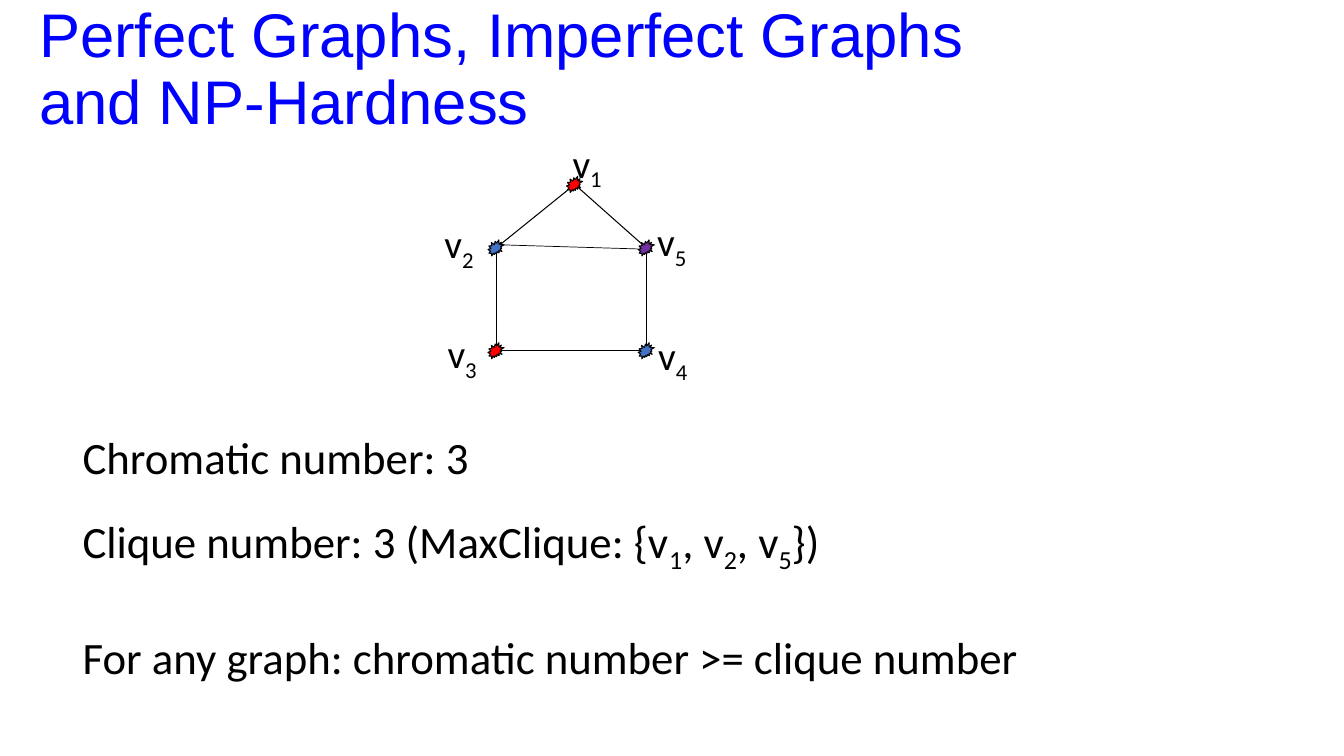
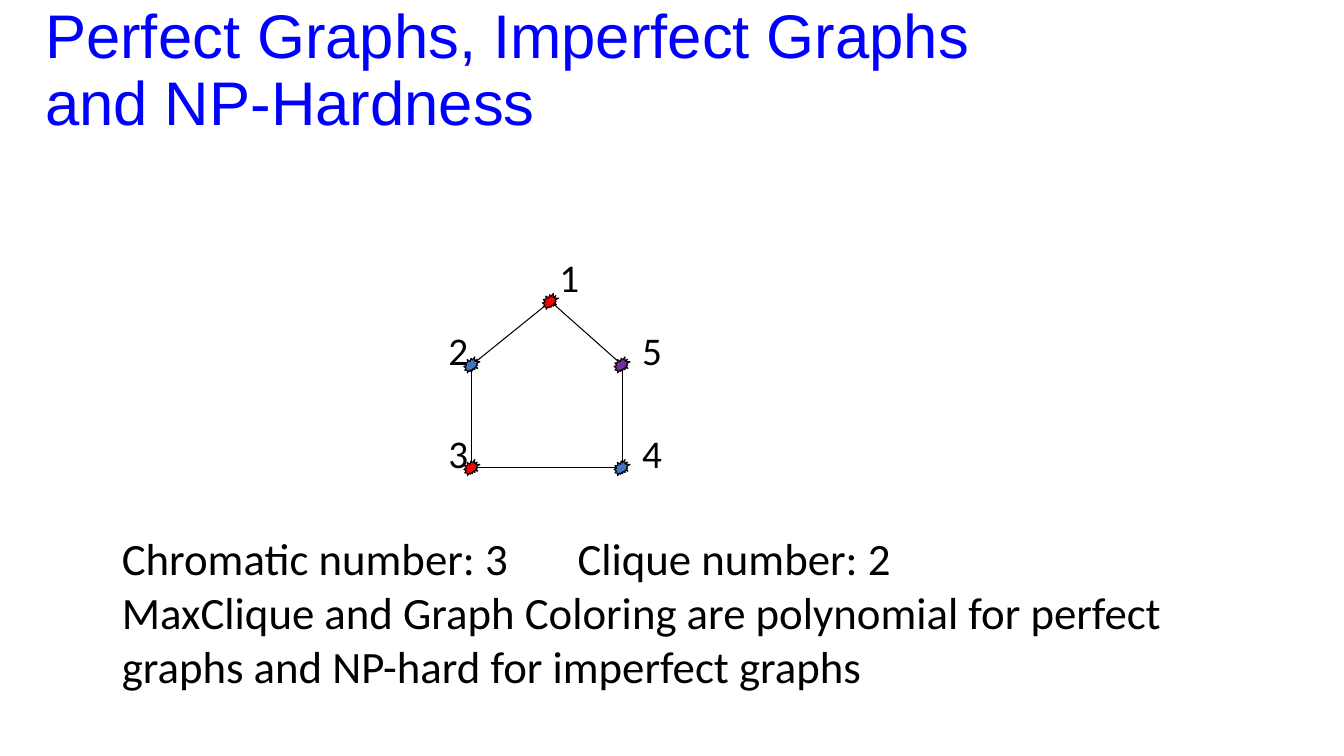
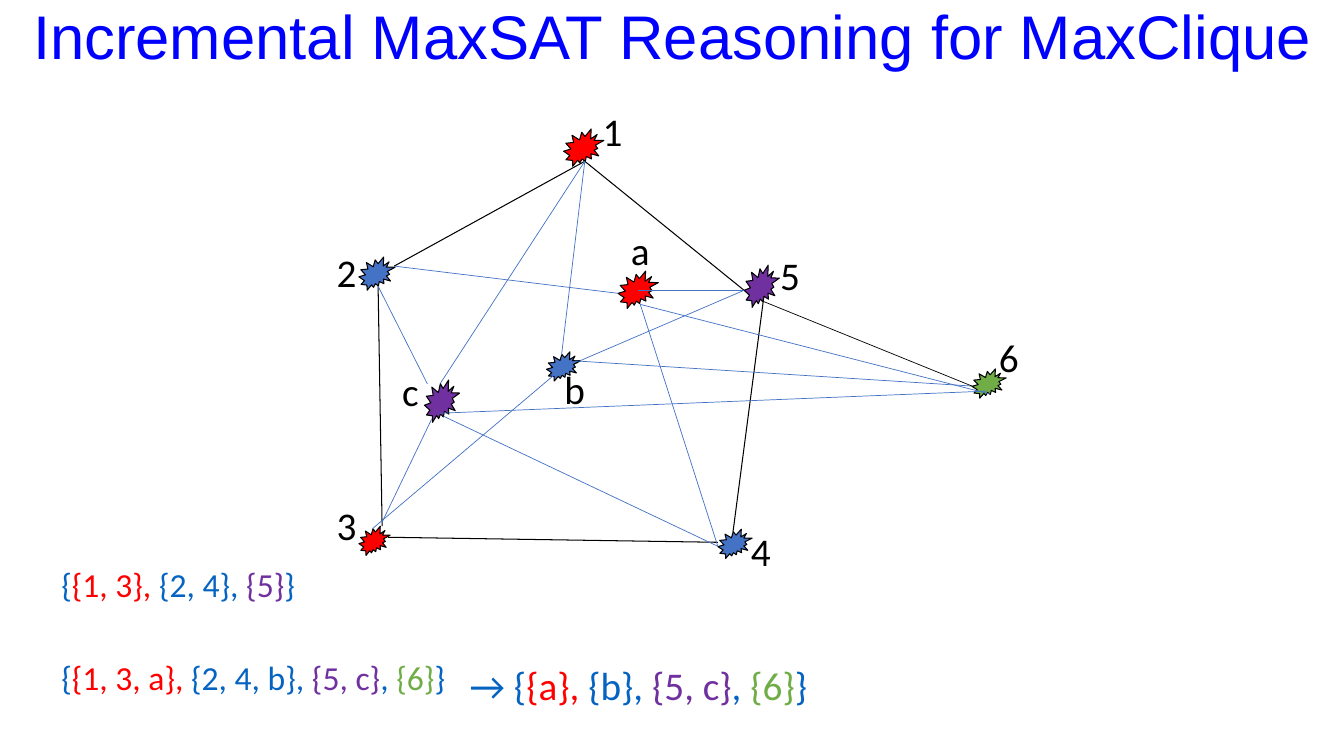
from lxml.etree import SubElement
from pptx import Presentation
from pptx.dml.color import RGBColor
from pptx.enum.shapes import MSO_CONNECTOR, MSO_SHAPE
from pptx.enum.text import MSO_ANCHOR
from pptx.oxml.ns import qn
from pptx.util import Inches, Pt

COLORS = {
    "title": "0000FF", "black": "000000", "red": "FF0000", "blue": "4472C4",
    "link": "0563C1", "purple": "7030A0", "green": "70AD47",
}
HEAD = "Perfect Graphs, Imperfect Graphs\nand NP-Hardness"


def tint(name):
    return RGBColor.from_string(COLORS[name])


def text(slide, box, paras, size=28, color="black", font="Calibri",
         anchor=MSO_ANCHOR.TOP, wrap=True, gap=0, lead=None):
    """Each paragraph lists pieces: a string or (string, color); "_1" is a subscript."""
    frame = slide.shapes.add_textbox(*map(Inches, box)).text_frame
    frame.word_wrap = wrap
    frame.vertical_anchor = anchor
    for i, pieces in enumerate(paras):
        para = frame.paragraphs[0] if i == 0 else frame.add_paragraph()
        if i:
            para.space_before = Pt(gap)
        if lead:
            para.line_spacing = lead
        for piece in pieces:
            words, hue = (piece, color) if isinstance(piece, str) else piece
            for j, row in enumerate(words.split("\n")):
                if j:
                    para.add_line_break()
                run = para.add_run()
                run.text = row.lstrip("_")
                run.font.size = Pt(size)
                run.font.name = font
                run.font.color.rgb = tint(hue)
                if row.startswith("_"):
                    run.font._element.set("baseline", "-25000")
    return frame


def title(slide, box, words):
    text(slide, box, [[words]], size=44, color="title", font="Arial",
         anchor=MSO_ANCHOR.MIDDLE, lead=0.9)


def label(slide, x, y, *pieces, width=0.4):
    text(slide, (x, y, width, 0.57), [pieces])


def edge(shapes, x, y, start, end, color="black", width=0.75):
    line = shapes.add_connector(
        MSO_CONNECTOR.STRAIGHT, Inches(x + start[0]), Inches(y + start[1]),
        Inches(x + end[0]), Inches(y + end[1]))
    line.line.color.rgb = tint(color)
    line.line.width = Pt(width)
    SubElement(line._element.spPr, qn("a:effectLst"))


def node(shapes, box, color):
    seal = shapes.add_shape(MSO_SHAPE.EXPLOSION2, *map(Inches, box))
    seal.shadow.inherit = False
    seal.fill.solid()
    seal.fill.fore_color.rgb = tint(color)
    seal.line.color.rgb = tint("black")
    seal.line.width = Pt(0.75)


def house(slide, x, y):
    """Five-vertex cycle in a 1.65 by 1.81 box."""
    shapes = slide.shapes.add_group_shape().shapes
    spots = [(0.86, 0.08), (0.08, 0.71), (0.08, 1.73), (1.57, 1.73), (1.57, 0.71)]
    for start, end in zip(spots, spots[1:] + spots[:1]):
        edge(shapes, x, y, start, end)
    hues = ["red", "blue", "red", "blue", "purple"]
    for (dx, dy), hue in zip(spots, hues):
        node(shapes, (x + dx - 0.08, y + dy - 0.08, 0.16, 0.16), hue)


def web(slide, x, y):
    """Nine-vertex graph: outer cycle, inner vertices a, b, c and vertex 6."""
    top, low2, right2 = (2.6, 0.6), (0.55, 1.84), (0.71, 1.64)
    left4, left5, low5 = (3.92, 4.42), (4.18, 1.88), (4.37, 1.99)
    low_a, left6 = (3.15, 2.02), (6.44, 2.83)
    # Outer cycle
    cycle = [(top, right2), (low2, (0.59, 4.22)), ((0.65, 4.33), (3.92, 4.38)),
             (top, left5), (low5, (4.07, 4.28))]
    for start, end in cycle:
        edge(slide.shapes, x, y, start, end)
    # Vertices: name, box, color, label place
    nodes = [
        ("1", (2.39, 0.28, 0.4, 0.37), "red", (2.68, 0.02)),
        ("2", (0.36, 1.55, 0.36, 0.33), "blue", (0.04, 1.41)),
        ("3", (0.36, 4.22, 0.31, 0.29), "red", (0.04, 3.92)),
        ("4", (3.92, 4.25, 0.34, 0.29), "blue", (4.15, 4.18)),
        ("5", (4.18, 1.63, 0.35, 0.42), "purple", (4.44, 1.44)),
        ("6", (6.44, 2.66, 0.34, 0.29), "green", (6.61, 2.26)),
        ("a", (2.93, 1.69, 0.4, 0.37), "red", (2.96, 1.2)),
        ("b", (2.22, 2.49, 0.34, 0.29), "blue", (2.3, 2.58)),
        ("c", (1.01, 2.77, 0.35, 0.42), "purple", (0.69, 2.59)),
    ]
    for name, (dx, dy, w, h), hue, spot in nodes:
        node(slide.shapes, (x + dx, y + dy, w, h), hue)
        label(slide, x + spot[0], y + spot[1], name)
    # Inner edges
    inner = [
        (low_a, left4), ((3.13, 1.88), left5), ((2.93, 1.91), right2),
        (low_a, (6.62, 2.91)), (top, (2.37, 2.52)), ((2.32, 2.7), (0.5, 4.24)),
        ((2.55, 2.58), left5), ((2.5, 2.58), left6), ((1.17, 2.8), top),
        ((1.04, 2.81), low2), ((1.08, 3.16), (0.59, 4.18)),
        ((1.2, 3.13), left4), ((1.16, 3.1), (6.59, 2.88)),
    ]
    for start, end in inner:
        edge(slide.shapes, x, y, start, end, color="blue", width=0.5)
    edge(slide.shapes, x, y, low5, left6, width=0.5)


def perfect(slide):
    title(slide, (0.29, -0.02, 11.5, 1.45), HEAD)
    body = text(slide, (0.72, 4.21, 9.59, 2.52), [
        ["Chromatic number: 3"],
        ["Clique number: 3 (MaxClique: {v", "_1", ", v", "_2", ", v", "_5", "})"],
        ["For any graph: chromatic number >= clique number"],
    ], size=32, wrap=False)
    body.paragraphs[1].line_spacing = 1.5
    body.paragraphs[2].space_before = Pt(39)
    house(slide, 4.84, 1.75)
    # Chord between vertices 2 and 5
    edge(slide.shapes, 0, 0, (5, 2.43), (6.33, 2.47), width=0.5)
    spots = [(5.58, 1.33), (4.31, 2.13), (4.34, 3.22), (6.43, 3.24), (6.42, 2.11)]
    for i, (x, y) in enumerate(spots, 1):
        label(slide, x, y, "v", f"_{i}", width=1.05)


def hard(slide):
    title(slide, (0.35, -0.01, 11.5, 1.45), HEAD)
    house(slide, 4.6, 2.91)
    spots = [(5.45, 2.46), (4.35, 3.19), (4.35, 4.21), (6.27, 4.21), (6.27, 3.19)]
    for i, (x, y) in enumerate(spots, 1):
        label(slide, x, y, str(i))
    body = text(slide, (1.11, 5.22, 11.27, 1.75), [
        ["Chromatic number: 3\tClique number: 2"],
        ["MaxClique and Graph Coloring are polynomial for perfect "
         "graphs and NP-hard for imperfect graphs"],
    ], size=32)
    # Tab stop for the second number
    props = body.paragraphs[0]._p.get_or_add_pPr()
    tabs = SubElement(props, qn("a:tabLst"))
    SubElement(tabs, qn("a:tab"), pos=str(Inches(4.52)), algn="l")


def reason(slide):
    title(slide, (0.23, -0.12, 12.99, 1.02),
          "Incremental MaxSAT Reasoning for MaxClique")
    web(slide, 3.2, 1)
    # Color classes
    tail = [("{5, c}", "purple"), ", ", ("{6}", "green"), "}"]
    text(slide, (0.51, 5.54, 4.05, 1.59), [
        ["{", ("{1, 3}, ", "red"), "{2, 4}, ", ("{5}", "purple"), "}"],
        ["{", ("{1, 3, a}, ", "red"), "{2, 4, b}, "] + tail,
    ], size=24, color="link", gap=38)
    text(slide, (4.56, 6.51, 3.95, 0.57),
         [["→ {", ("{a}, ", "red"), "{b}, "] + tail], color="link")


def main():
    deck = Presentation()
    deck.slide_width, deck.slide_height = Inches(13.33), Inches(7.5)
    for build in (perfect, hard, reason):
        build(deck.slides.add_slide(deck.slide_layouts[6]))
    deck.save("out.pptx")


if __name__ == "__main__":
    main()
